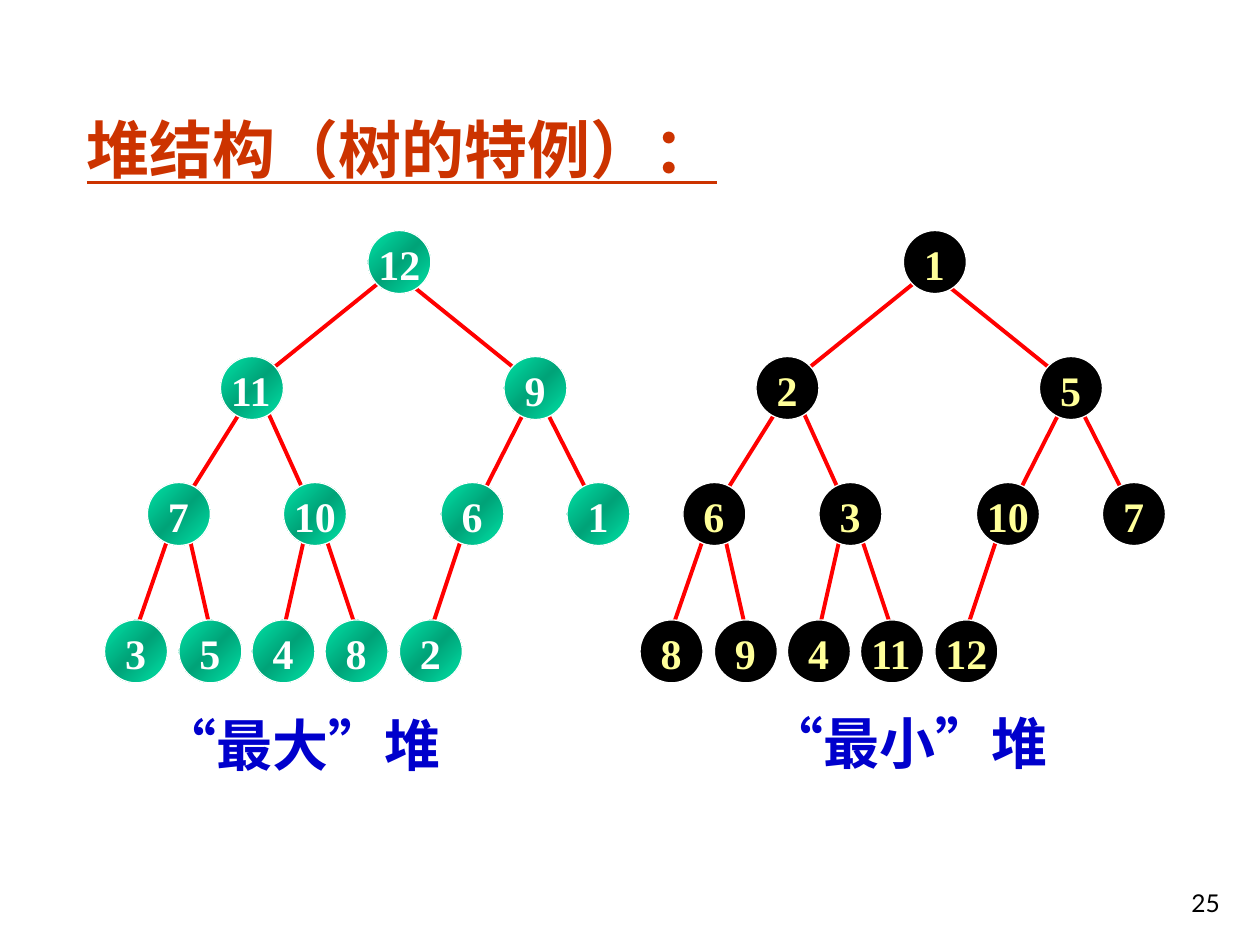
"""Build a slide that compares a max heap with a min heap."""
import dataclasses
import typing

import lxml.etree
import pptx
import pptx.dml.color
import pptx.enum.lang
import pptx.enum.shapes
import pptx.enum.text
import pptx.oxml
import pptx.oxml.ns
import pptx.util

Inches = pptx.util.Inches
Align = pptx.enum.text.PP_ALIGN
Anchor = pptx.enum.text.MSO_ANCHOR
AutoSize = pptx.enum.text.MSO_AUTO_SIZE
CHINESE = pptx.enum.lang.MSO_LANGUAGE_ID.SIMPLIFIED_CHINESE

SERIF = "Times New Roman"
NODE_SIZE = 0.5
LABEL_WIDTHS = {1: 0.37, 2: 0.53}
GRADIENT = (
    f'<a:gradFill {pptx.oxml.ns.nsdecls("a")} rotWithShape="1"><a:gsLst>'
    '<a:gs pos="0"><a:srgbClr val="00E4A8"/></a:gs>'
    '<a:gs pos="50000"><a:srgbClr val="00E4A8"><a:shade val="46275"/></a:srgbClr></a:gs>'
    '<a:gs pos="100000"><a:srgbClr val="00E4A8"/></a:gs>'
    '</a:gsLst><a:lin ang="2700000" scaled="1"/></a:gradFill>'
)


class Edge(typing.NamedTuple):
    """Parent and child index, with the line ends measured from each node's corner."""

    parent: int
    child: int
    start_x: float
    end_x: float
    start_y: float = 0.42
    end_y: float = 0.09


@dataclasses.dataclass
class Heap:
    """One heap with its values in level order, its colours and its caption."""

    left: float
    values: list[int]
    text_color: str
    fill: str | None
    caption: str
    caption_at: tuple[float, float, float, float]


NODES = (
    [(2.92, 1.83), (1.75, 2.83), (4, 2.83)]
    + [(left, 3.83) for left in (1.17, 2.25, 3.5, 4.5)]
    + [(round(0.83 + 0.585 * step, 2), 4.92) for step in range(5)]
)
EDGES = [
    Edge(0, 2, 0.33, 0.08),
    Edge(0, 1, 0.08, 0.42),
    Edge(2, 6, 0.33, 0.17),
    Edge(2, 5, 0.17, 0.33),
    Edge(1, 4, 0.33, 0.17, start_y=0.34),
    Edge(1, 3, 0.17, 0.33),
] + [
    Edge((child - 1) // 2, child, 0.17 if child % 2 else 0.33, 0.25, end_y=0.08)
    for child in range(7, 12)
]
HEAPS = [
    Heap(0, [12, 11, 9, 7, 10, 6, 1, 3, 5, 4, 8, 2], "FFFFFF", None,
         "“最大”堆", (1.05, 5.58, 2.61, 0.66)),
    Heap(4.25, [1, 2, 5, 6, 3, 10, 7, 8, 9, 4, 11, 12], "FFFF99", "000000",
         "“最小”堆", (5.87, 5.56, 2.68, 0.66)),
]


def rgb(value: str) -> pptx.dml.color.RGBColor:
    """Turn a hex string into a colour."""
    return pptx.dml.color.RGBColor.from_string(value)


def apply(target: typing.Any, values: dict[str, typing.Any]) -> None:
    """Set each named attribute on the target."""
    for name, value in values.items():
        setattr(target, name, value)


def add_span(para: typing.Any, text: str, size: float, color: str, **values: typing.Any) -> None:
    """Add a formatted run to a paragraph."""
    span = para.add_run()
    span.text = text
    apply(span.font, {"size": pptx.util.Pt(size), "name": SERIF, "bold": True} | values)
    span.font.color.rgb = rgb(color)


def add_box(page: typing.Any, at: tuple[float, float, float, float],
            align: Align = Align.LEFT, **values: typing.Any) -> typing.Any:
    """Add a text box and return its first paragraph."""
    box = page.shapes.add_textbox(*map(Inches, at))
    apply(box.text_frame, {"word_wrap": True} | values)
    para = box.text_frame.paragraphs[0]
    para.alignment = align
    return para


def draw_edge(page: typing.Any, edge: Edge, left: float) -> None:
    """Draw the line between a parent and its child."""
    parent_x, parent_y = NODES[edge.parent]
    child_x, child_y = NODES[edge.child]
    line = page.shapes.add_connector(
        pptx.enum.shapes.MSO_CONNECTOR.STRAIGHT,
        Inches(left + parent_x + edge.start_x), Inches(parent_y + edge.start_y),
        Inches(left + child_x + edge.end_x), Inches(child_y + edge.end_y),
    )
    line.line.color.rgb = rgb("FF0000")
    line.line.width = pptx.util.Pt(2.25)
    lxml.etree.SubElement(line._element.spPr, pptx.oxml.ns.qn("a:effectLst"))


def draw_node(page: typing.Any, left: float, top: float, value: int, heap: Heap) -> None:
    """Draw a circle with its value centred on it."""
    circle = page.shapes.add_shape(
        pptx.enum.shapes.MSO_SHAPE.OVAL,
        Inches(left), Inches(top), Inches(NODE_SIZE), Inches(NODE_SIZE),
    )
    circle.shadow.inherit = False
    if heap.fill:
        circle.fill.solid()
        circle.fill.fore_color.rgb = rgb(heap.fill)
    else:
        geometry = circle._element.spPr.find(pptx.oxml.ns.qn("a:prstGeom"))
        geometry.addnext(pptx.oxml.parse_xml(GRADIENT))
    circle.line.color.rgb = rgb("FFFFFF")
    circle.line.width = pptx.util.Pt(0.75)
    width = LABEL_WIDTHS[len(str(value))]
    para = add_box(page, (left + (NODE_SIZE - width) / 2, top + 0.01, width, 0.5),
                   word_wrap=False, auto_size=AutoSize.SHAPE_TO_FIT_TEXT)
    add_span(para, str(value), 24, heap.text_color)


def draw_heap(page: typing.Any, heap: Heap) -> None:
    """Draw the edges, nodes and caption of a heap."""
    for edge in EDGES:
        draw_edge(page, edge, heap.left)
    for (left, top), value in zip(NODES, heap.values):
        draw_node(page, heap.left + left, top, value, heap)
    wide, narrow = Inches(0.12), Inches(0.06)
    para = add_box(page, heap.caption_at, auto_size=AutoSize.SHAPE_TO_FIT_TEXT,
                   margin_left=wide, margin_right=wide, margin_top=narrow, margin_bottom=narrow)
    add_span(para, " ", 32, "CC0000")
    add_span(para, heap.caption, 32, "0000CC", language_id=CHINESE)


def draw_title(page: typing.Any) -> None:
    """Place and format the title."""
    title = page.shapes.title
    apply(title, {"left": Inches(0.59), "top": Inches(0.76),
                  "width": Inches(6.24), "height": Inches(0.83)})
    apply(title.text_frame, {"vertical_anchor": Anchor.MIDDLE, "word_wrap": True,
                             "auto_size": AutoSize.NONE})
    para = title.text_frame.paragraphs[0]
    para.alignment = Align.LEFT
    add_span(para, "堆结构（树的特例）：", 36, "CC3300", underline=True, language_id=CHINESE)


def main() -> None:
    """Build and save the deck."""
    deck = pptx.Presentation()
    apply(deck, {"slide_width": Inches(10), "slide_height": Inches(7.5)})
    page = deck.slides.add_slide(deck.slide_layouts[5])
    draw_title(page)
    for heap in HEAPS:
        draw_heap(page, heap)
    number = add_box(page, (7.7, 6.83, 2.08, 0.5), Align.RIGHT, vertical_anchor=Anchor.BOTTOM)
    add_span(number, "25", 14, "000000", name="Lato", bold=False)
    deck.save("out.pptx")


main()
